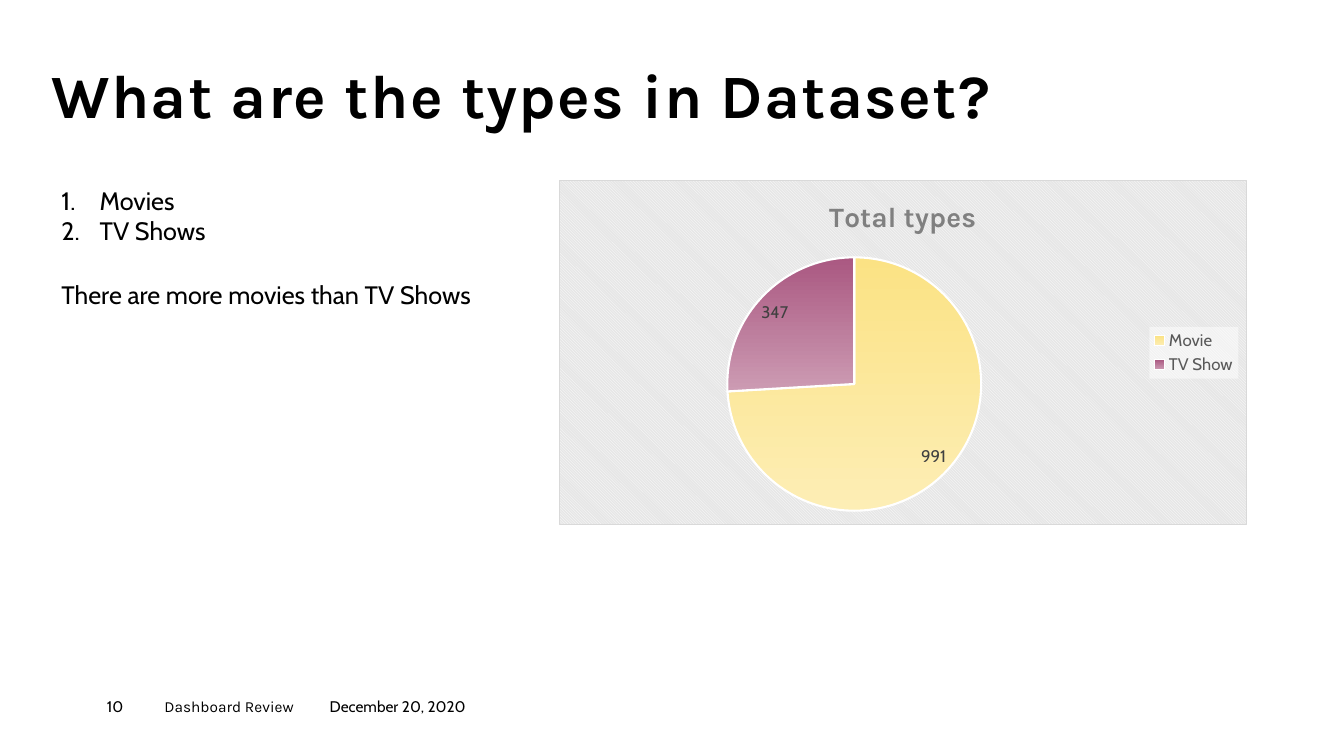
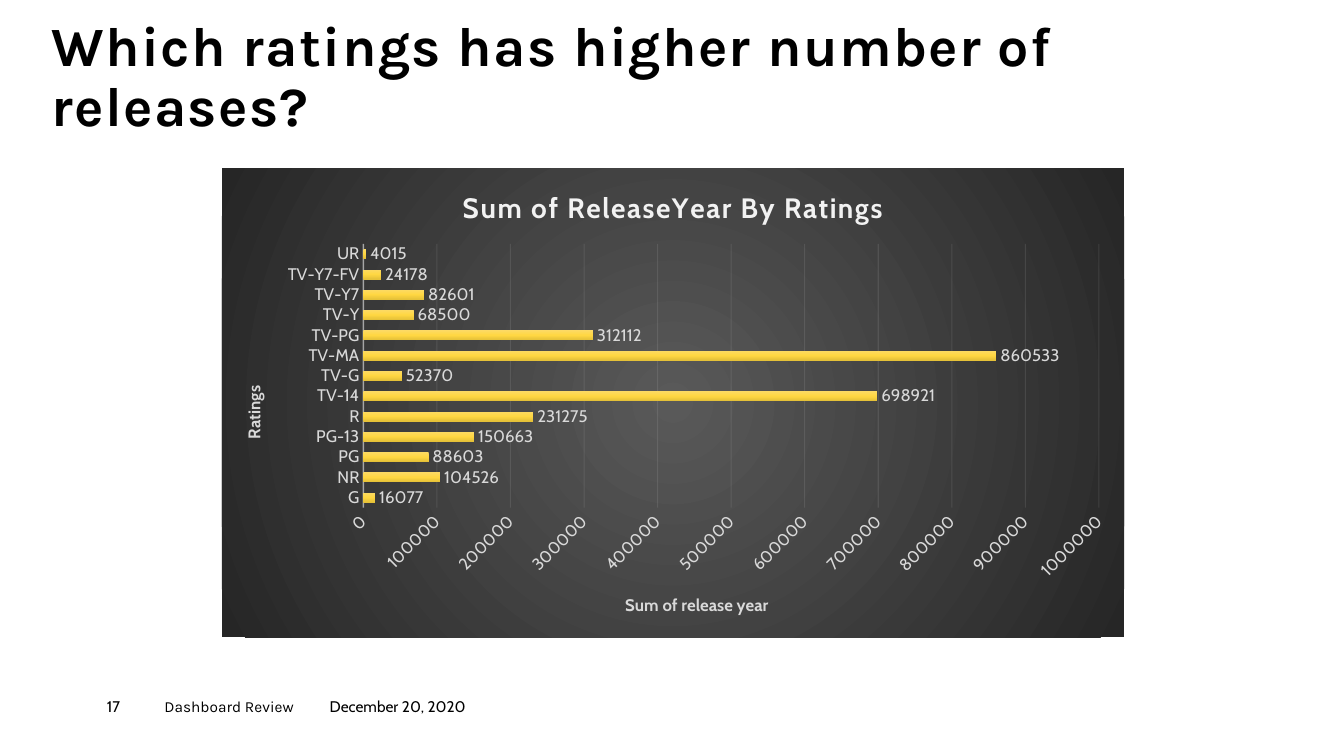
"""Build two dashboard review slides, each with a native chart."""
from lxml import etree
from pptx import Presentation
from pptx import util as u
from pptx.chart.data import CategoryChartData
from pptx.dml.color import RGBColor
from pptx.enum import chart as ec
from pptx.enum import text as et
from pptx.oxml import ns

WIDE, HIGH = u.Inches(13.33), u.Inches(7.5)
HEAD, BODY = "Karla", "Cabin"
BLACK = RGBColor(0x00, 0x00, 0x00)
WHITE = RGBColor(0xFF, 0xFF, 0xFF)
SMOKE = RGBColor(0xF2, 0xF2, 0xF2)
MIST = RGBColor(0xE6, 0xE6, 0xE6)
PALE = RGBColor(0xD9, 0xD9, 0xD9)
GREY = RGBColor(0x80, 0x80, 0x80)
SLATE = RGBColor(0x59, 0x59, 0x59)
DARK = RGBColor(0x40, 0x40, 0x40)
COAL = RGBColor(0x26, 0x26, 0x26)
CREAM = RGBColor(0xFD, 0xEE, 0xB5)
LEMON = RGBColor(0xFB, 0xE2, 0x84)
PLUM = RGBColor(0xAA, 0x58, 0x81)
PINK = RGBColor(0xCC, 0x9B, 0xB3)
GOLD = (RGBColor(0xFC, 0xDA, 0x64), RGBColor(0xFF, 0xD7, 0x42),
        RGBColor(0xE5, 0xC1, 0x38))
DOWN = '<a:lin ang="5400000" scaled="0"/>'
ROUND = ('<a:path path="circle"><a:fillToRect l="50000" t="50000" '
         'r="50000" b="50000"/></a:path>')

LEFT, SPAN = 3.83, 88.97
TOP = 23.87
NOTES = (("Dashboard Review", HEAD, 12.3), ("December 20, 2020", BODY, 10.8))
TYPES = {"Movie": 991, "TV Show": 347}
SUMS = {
    "G": 16077, "NR": 104526, "PG": 88603, "PG-13": 150663, "R": 231275,
    "TV-14": 698921, "TV-G": 52370, "TV-MA": 860533, "TV-PG": 312112,
    "TV-Y": 68500, "TV-Y7": 82601, "TV-Y7-FV": 24178, "UR": 4015,
}


def area(x, y, w, h):
    """Turn percentages of the slide into lengths."""
    return [int(side * part / 100)
            for side, part in zip((WIDE, HIGH, WIDE, HIGH), (x, y, w, h))]


def style(font, size, color, face=BODY, bold=False):
    """Format a font."""
    font.size, font.name, font.bold = u.Pt(size), face, bold
    font.color.rgb = color


def write(frame, *lines, size=11, color=BLACK, face=BODY, bold=False,
          space=0, lead=None, count=False):
    """Fill a text frame with lines in one format, numbered on request."""
    for i, line in enumerate(lines):
        para = frame.add_paragraph() if i else frame.paragraphs[0]
        run = para.add_run()
        run.text = line
        style(run.font, size, color, face, bold)
        if space:
            run.font._element.set("spc", str(space * 100))
        if lead:
            para.line_spacing = lead
        if count:
            props = para._p.get_or_add_pPr()
            props.set("marL", str(u.Inches(0.38)))
            props.set("indent", str(-u.Inches(0.38)))
            etree.SubElement(props, ns.qn("a:buAutoNum"), type="arabicPeriod")


def label(slide, spot, *lines, pad=True, base=False, **form):
    """Add a text box."""
    frame = slide.shapes.add_textbox(*area(*spot)).text_frame
    frame.word_wrap = True
    if not pad:
        frame.margin_left = frame.margin_right = 0
        frame.margin_top = frame.margin_bottom = 0
    if base:
        frame.vertical_anchor = et.MSO_ANCHOR.BOTTOM
    write(frame, *lines, **form)


def page(deck, title, number, size, tall):
    """Add a blank slide with its title and footer."""
    slide = deck.slides.add_slide(deck.slide_layouts[6])
    label(slide, (LEFT, 8.27, SPAN, tall), title, pad=False, base=True,
          size=size, face=HEAD, bold=True, space=1, lead=0.9)
    x = 7.95
    for line, face, w in ((str(number), BODY, 4.28), *NOTES):
        label(slide, (x, 92.27, w, 3.6), line, pad=False, face=face)
        x += w
    return slide


def solid(color, alpha=100):
    """Give the XML of a plain fill."""
    return (f'<a:solidFill><a:srgbClr val="{color}"><a:alpha '
            f'val="{alpha * 1000}"/></a:srgbClr></a:solidFill>')


def blend(*colors, way=DOWN):
    """Give the XML of an evenly spaced gradient."""
    step = 100000 // (len(colors) - 1)
    stops = "".join(f'<a:gs pos="{i * step}"><a:srgbClr val="{c}"/></a:gs>'
                    for i, c in enumerate(colors))
    return f'<a:gradFill rotWithShape="1"><a:gsLst>{stops}</a:gsLst>{way}</a:gradFill>'


def weave(front, back):
    """Give the XML of a striped fill."""
    return (f'<a:pattFill prst="dkDnDiag"><a:fgClr><a:srgbClr val="{front}"/>'
            f'</a:fgClr><a:bgClr><a:srgbClr val="{back}"/></a:bgClr></a:pattFill>')


def edge(color=None, width=0.75, alpha=100):
    """Give the XML of an outline."""
    if color is None:
        return "<a:ln><a:noFill/></a:ln>"
    return f'<a:ln w="{u.Pt(width)}">{solid(color, alpha)}</a:ln>'


def look(*parts):
    """Make a chart shape format from fill and outline."""
    return etree.fromstring(
        f'<c:spPr {ns.nsdecls("c", "a")}>{"".join(parts)}</c:spPr>')


def swap(host, *parts):
    """Replace the format of a chart part that already has one."""
    old = host.find(ns.qn("c:spPr"))
    host.replace(old, look(*parts))


def graph(slide, kind, spot, data, title, back, tint, place, **form):
    """Add a chart with a title, a backdrop and value labels."""
    feed = CategoryChartData()
    feed.categories = list(data)
    feed.add_series("Series 1", list(data.values()))
    chart = slide.shapes.add_chart(kind, *area(*spot), feed).chart
    style(chart.font, 10, WHITE)
    chart._chartSpace.find(ns.qn("c:chart")).addnext(look(*back))
    chart.has_title = True
    write(chart.chart_title.text_frame, title, size=20, bold=True, **form)
    chart.has_legend = False
    plot = chart.plots[0]
    plot.has_data_labels = True
    tags = plot.data_labels
    tags.show_value = True
    tags.show_percentage = False
    tags.position = place
    style(tags.font, 12, tint)
    return chart


def pie(slide):
    """Add the pie of types."""
    chart = graph(slide, ec.XL_CHART_TYPE.PIE, (41.56, TOP, 51.24, 45.6),
                  TYPES, "Total types", (weave(WHITE, MIST), edge(PALE)),
                  DARK, ec.XL_LABEL_POSITION.BEST_FIT, face=HEAD, color=GREY)
    chart.plots[0].vary_by_categories = True
    ser = chart.plots[0].series[0]
    for i, pair in enumerate(((LEMON, CREAM), (PLUM, PINK))):
        ser.points[i].format.fill.solid()
        swap(ser._element.findall(ns.qn("c:dPt"))[i], blend(*pair),
             edge(WHITE, 1.5))
    chart.has_legend = True
    key = chart.legend
    key.position = ec.XL_LEGEND_POSITION.RIGHT
    key.include_in_layout = False
    style(key.font, 12, SLATE)
    key._element.find(ns.qn("c:txPr")).addprevious(look(solid(WHITE, 50)))


def axis(part, title, line, turn):
    """Format an axis and name it, turning its title."""
    part.major_tick_mark = part.minor_tick_mark = ec.XL_TICK_MARK.NONE
    style(part.tick_labels.font, 12, PALE)
    frame = part.axis_title.text_frame
    write(frame, title, size=12, color=PALE, bold=True)
    frame._txBody.bodyPr.set("rot", str(turn * 60000))
    frame._txBody.bodyPr.set("vert", "horz")
    part.format.line.width = u.Pt(1)
    swap(part._element, line)


def bars(slide):
    """Add the bars of ratings."""
    chart = graph(slide, ec.XL_CHART_TYPE.BAR_CLUSTERED,
                  (16.5, 22.27, 67.14, 62), SUMS,
                  "Sum of ReleaseYear By Ratings",
                  (blend(SLATE, COAL, way=ROUND), edge()), PALE,
                  ec.XL_LABEL_POSITION.OUTSIDE_END, color=SMOKE, space=1)
    plot = chart.plots[0]
    plot.vary_by_categories = False
    plot.gap_width, plot.overlap = 115, -20
    ser = plot.series[0]
    ser.format.fill.solid()
    swap(ser._element, blend(*GOLD))
    axis(chart.category_axis, "Ratings", edge(SMOKE, 1, 54), -90)
    vals = chart.value_axis
    axis(vals, "Sum of release year", edge(), 0)
    vals.minimum_scale, vals.maximum_scale = 0, 1000000
    vals.major_unit = 100000
    vals._element.find(ns.qn("c:txPr")).find(ns.qn("a:bodyPr")).set(
        "rot", str(-45 * 60000))
    vals.major_gridlines.format.line.width = u.Pt(0.75)
    swap(vals._element.find(ns.qn("c:majorGridlines")), edge(SMOKE, 0.75, 10))


def main():
    """Build and save the deck."""
    deck = Presentation()
    deck.slide_width, deck.slide_height = WIDE, HIGH
    first = page(deck, "What are the types in Dataset?", 10, 44, 9.2)
    pie(first)
    label(first, (LEFT, TOP, 24.16, 9.47), "Movies", "TV Shows",
          size=18, count=True)
    label(first, (LEFT, 36.27, 32.48, 5.33),
          "There are more movies than TV Shows", size=18)
    bars(page(deck, "Which ratings has higher number of releases?", 17, 39.6, 10))
    deck.save("out.pptx")


if __name__ == "__main__":
    main()
